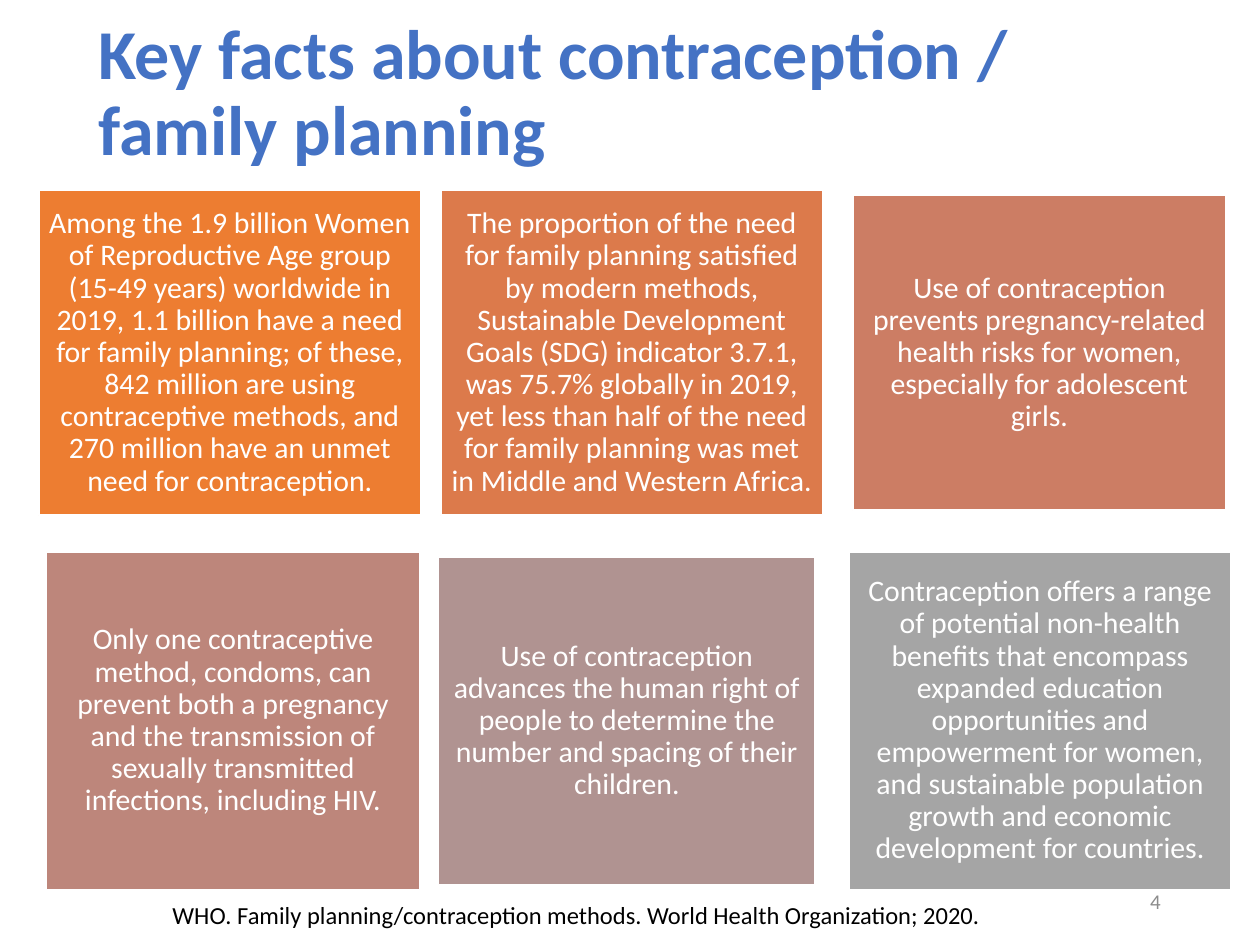
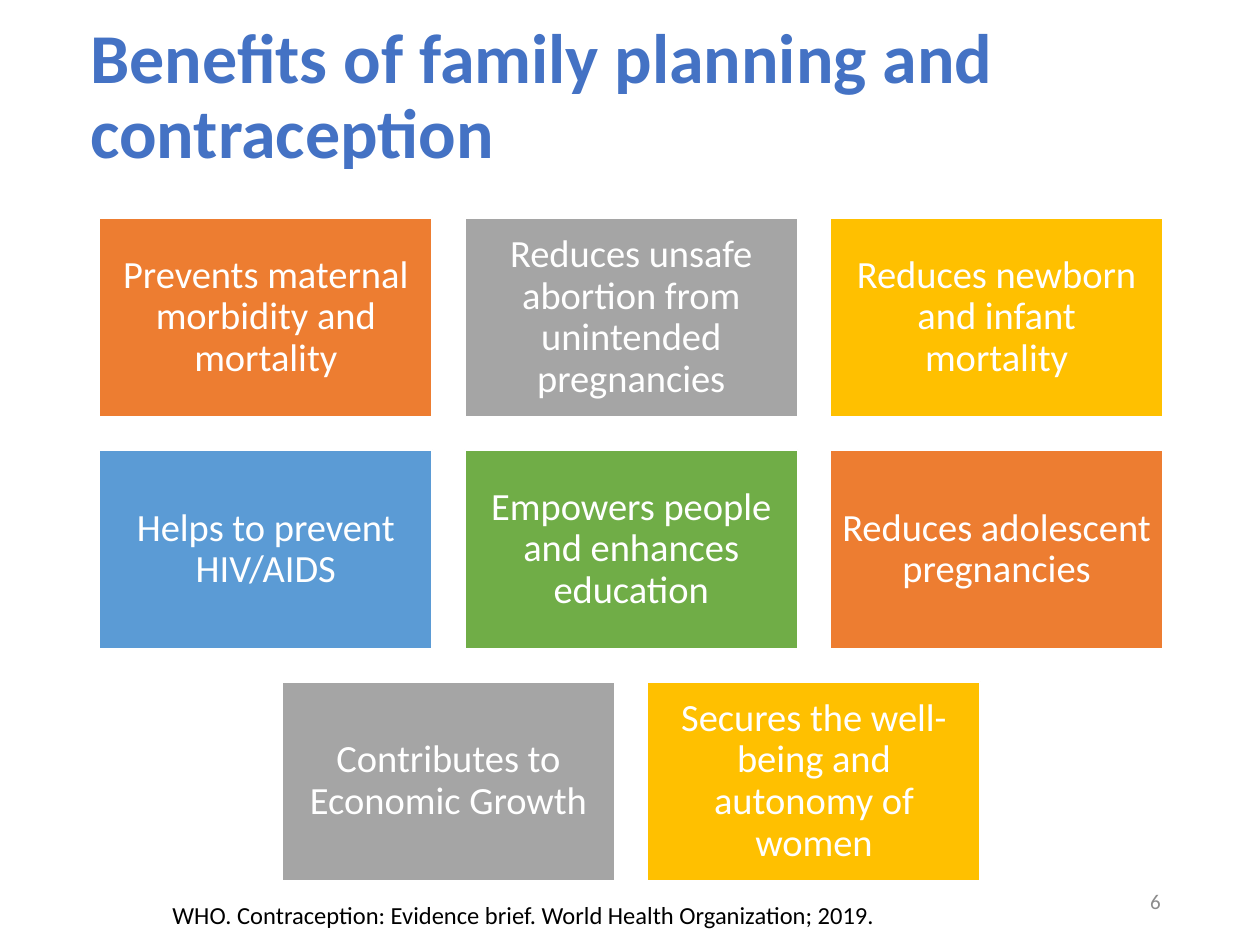
from pptx import Presentation
from pptx.dml.color import RGBColor
from pptx.enum.shapes import MSO_SHAPE as Preset
from pptx.enum.text import MSO_ANCHOR as Anchor, PP_ALIGN as Align
from pptx.util import Inches, Pt

COLORS = {
    "title": "4472C4",
    "white": "FFFFFF",
    "black": "000000",
    "number": "8C8C8C",
    "orange": "ED7D31",
    "burnt": "DC7A4B",
    "terracotta": "CC7D64",
    "rose": "BD867B",
    "mauve": "B09391",
    "gray": "A5A5A5",
    "gold": "FFC000",
    "blue": "5B9BD5",
    "green": "70AD47",
}

KEY_FACTS = [
    ((0.31, 1.51, 3.03, 2.58), "orange",
     "Among the 1.9 billion Women of Reproductive Age group (15-49 years) worldwide "
     "in 2019, 1.1 billion have a need for family planning; of these, 842 million are "
     "using contraceptive methods, and 270 million have an unmet need for contraception."),
    ((3.5, 1.51, 3.03, 2.58), "burnt",
     "The proportion of the need for family planning satisfied by modern methods, "
     "Sustainable Development Goals (SDG) indicator 3.7.1, was 75.7% globally in 2019, "
     "yet less than half of the need for family planning was met in Middle and Western Africa."),
    ((6.77, 1.55, 2.96, 2.5), "terracotta",
     "Use of contraception prevents pregnancy-related health risks for women, "
     "especially for adolescent girls."),
    ((0.37, 4.38, 2.96, 2.68), "rose",
     "Only one contraceptive method, condoms, can prevent both a pregnancy and the "
     "transmission of sexually transmitted infections, including HIV."),
    ((3.48, 4.42, 2.99, 2.6), "mauve",
     "Use of contraception advances the human right of people to determine the number "
     "and spacing of their children."),
    ((6.74, 4.38, 3.03, 2.68), "gray",
     "Contraception offers a range of potential non-health benefits that encompass "
     "expanded education opportunities and empowerment for women, and sustainable "
     "population growth and economic development for countries."),
]

BENEFIT_ROWS = [
    [("orange", "Prevents maternal morbidity and mortality"),
     ("gray", "Reduces unsafe abortion from unintended pregnancies"),
     ("gold", "Reduces newborn and infant mortality")],
    [("blue", "Helps to prevent HIV/AIDS"),
     ("green", "Empowers people and enhances education"),
     ("orange", "Reduces adolescent pregnancies")],
    [("gray", "Contributes to Economic Growth"),
     ("gold", "Secures the well-being and autonomy of women")],
]


class Deck:
    font_name = "Calibri"

    def __init__(self):
        self.presentation = Presentation()
        self.presentation.slide_width = Inches(10)
        self.presentation.slide_height = Inches(7.5)
        self.slide = None

    def add_slide(self, title, title_box, source, number):
        blank = self.presentation.slide_layouts[6]
        self.slide = self.presentation.slides.add_slide(blank)
        self.text(title, title_box, 40, "title", bold=True, line_spacing=0.9)
        self.text(number, (7.06, 6.95, 2.25, 0.4), 12, "number", align=Align.RIGHT)
        self.text(source, (1.27, 7.09, 8.73, 0.34), 14, "black", anchor=Anchor.TOP)

    def set_text(self, frame, wording, size, color, align, anchor, bold=False, line_spacing=None):
        frame.word_wrap = True
        frame.vertical_anchor = anchor
        paragraph = frame.paragraphs[0]
        paragraph.text = wording
        paragraph.alignment = align
        paragraph.line_spacing = line_spacing
        paragraph.font.name = self.font_name
        paragraph.font.size = Pt(size)
        paragraph.font.bold = bold
        paragraph.font.color.rgb = RGBColor.from_string(COLORS[color])

    def text(self, wording, box, size, color, align=Align.LEFT, anchor=Anchor.MIDDLE, **style):
        holder = self.slide.shapes.add_textbox(*map(Inches, box))
        self.set_text(holder.text_frame, wording, size, color, align, anchor, **style)

    def tile(self, wording, box, fill, size, inset):
        tile = self.slide.shapes.add_shape(Preset.RECTANGLE, *map(Inches, box))
        tile.shadow.inherit = False
        tile.fill.solid()
        tile.fill.fore_color.rgb = RGBColor.from_string(COLORS[fill])
        tile.line.color.rgb = RGBColor.from_string(COLORS["white"])
        tile.line.width = Pt(1)
        frame = tile.text_frame
        frame.margin_left = frame.margin_right = Inches(inset)
        frame.margin_top = frame.margin_bottom = Inches(inset)
        self.set_text(frame, wording, size, "white", Align.CENTER, Anchor.MIDDLE, line_spacing=0.9)


def build_key_facts(deck):
    deck.add_slide(
        "Key facts about contraception / family planning", (0.68, 0.19, 8.56, 1.13),
        "WHO. Family planning/contraception methods. World Health Organization; 2020.", "4")
    for box, fill, fact in KEY_FACTS:
        deck.tile(fact, box, fill, 17, 0.07)


def build_benefits(deck):
    deck.add_slide(
        "Benefits of family planning and contraception", (0.62, 0.3, 9.18, 0.96),
        "WHO. Contraception: Evidence brief. World Health Organization; 2019.", "6")
    width, height, gap = 2.64, 1.58, 0.26
    center, first_top = 5.01, 1.73
    for row, benefits in enumerate(BENEFIT_ROWS):
        row_width = len(benefits) * (width + gap) - gap
        top = first_top + row * (height + gap)
        for column, (fill, benefit) in enumerate(benefits):
            left = center - row_width / 2 + column * (width + gap)
            deck.tile(benefit, (left, top, width, height), fill, 22, 0.09)


def main():
    deck = Deck()
    build_key_facts(deck)
    build_benefits(deck)
    deck.presentation.save("out.pptx")


if __name__ == "__main__":
    main()
